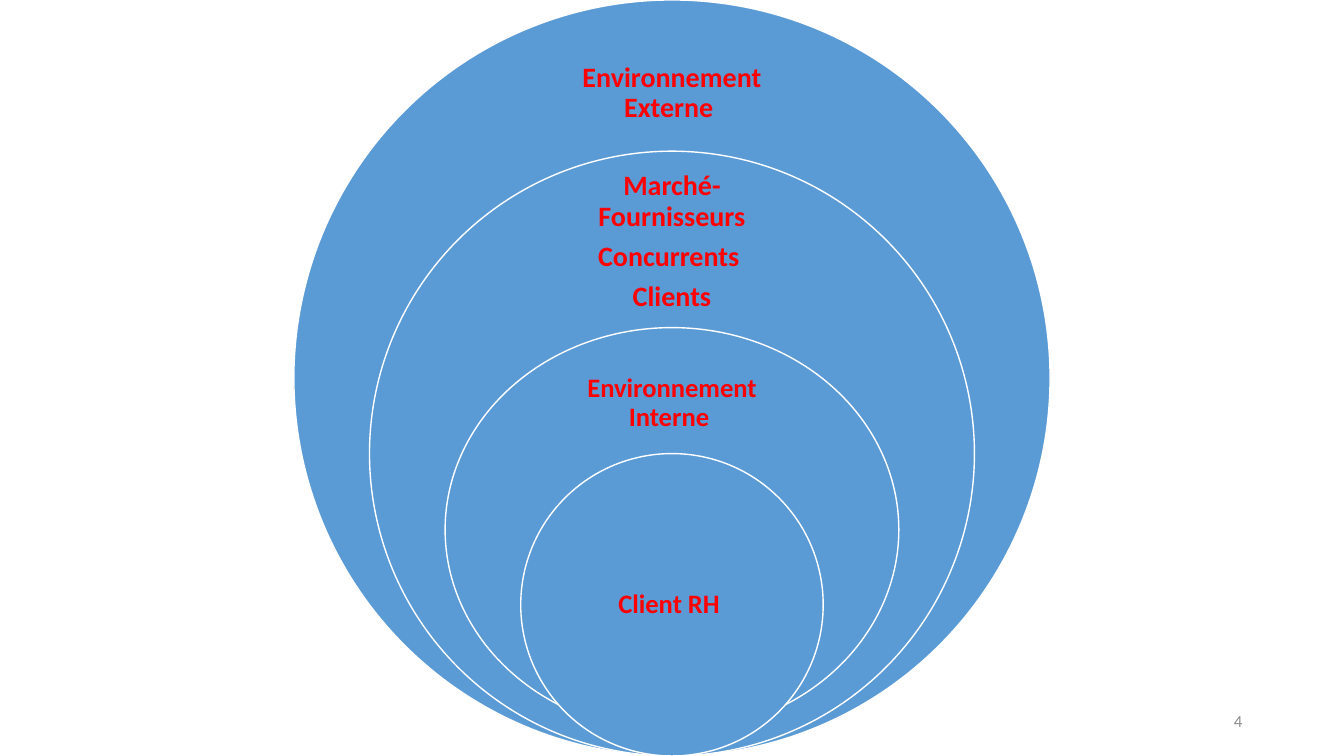
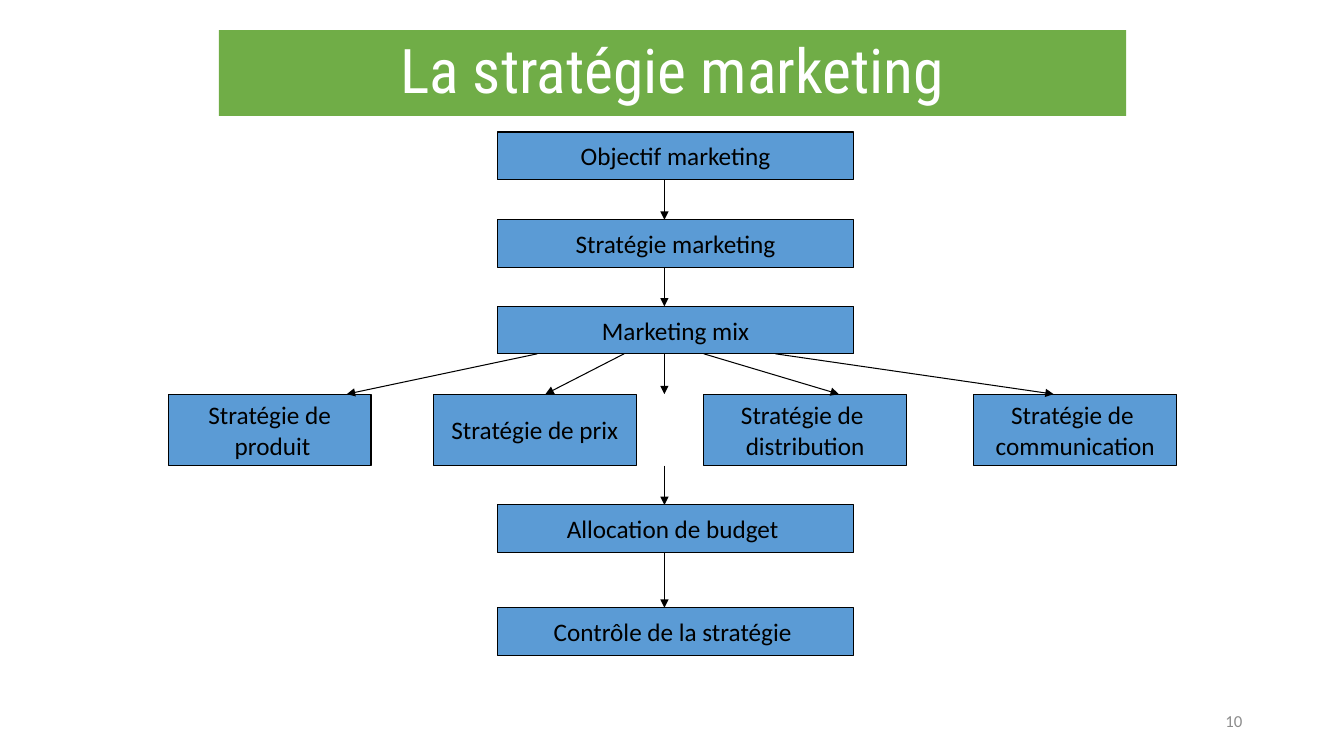
import pptx
import pptx.util
import pptx.dml.color
import pptx.enum.shapes
import pptx.enum.text
import pptx.oxml
import pptx.oxml.ns

Inches, Pt = pptx.util.Inches, pptx.util.Pt
RGB = pptx.dml.color.RGBColor.from_string
SHAPE = pptx.enum.shapes.MSO_SHAPE
ALIGN = pptx.enum.text.PP_ALIGN
MIDDLE = pptx.enum.text.MSO_ANCHOR.MIDDLE
STRAIGHT = pptx.enum.shapes.MSO_CONNECTOR.STRAIGHT

COLORS = {"blue": "5B9BD5", "green": "70AD47", "red": "FF0000",
          "black": "000000", "white": "FFFFFF", "gray": "8C8C8C"}
W = 13.33


def write(shape, lines, size, color, align=ALIGN.CENTER, font="Calibri",
          bold=False, wrap=True, spacing=None, after=0):
    """Fill a shape with one formatted paragraph per line."""
    tf = shape.text_frame
    tf.word_wrap = wrap
    tf.auto_size = pptx.enum.text.MSO_AUTO_SIZE.NONE
    tf.vertical_anchor = MIDDLE
    for i, line in enumerate(lines):
        p = tf.paragraphs[0] if i == 0 else tf.add_paragraph()
        p.alignment = align
        p.line_spacing = spacing
        p.space_after = Pt(after)
        r = p.add_run()
        r.text = line
        r.font.name, r.font.size, r.font.bold = font, Pt(size), bold
        r.font.color.rgb = RGB(COLORS[color])
    return tf


def add_block(s, kind, x, y, w, h, line, width):
    """Add a blue shape outlined in the given colour."""
    sp = s.shapes.add_shape(kind, Inches(x), Inches(y), Inches(w), Inches(h))
    sp.shadow.inherit = False
    sp.fill.solid()
    sp.fill.fore_color.rgb = RGB(COLORS["blue"])
    sp.line.color.rgb = RGB(COLORS[line])
    sp.line.width = Pt(width)
    return sp


prs = pptx.Presentation()
prs.slide_width, prs.slide_height = Inches(W), Inches(7.5)
nested = prs.slides.add_slide(prs.slide_layouts[6])
strategy = prs.slides.add_slide(prs.slide_layouts[5])

# Nested environments: circle top, width, height; label top, height; size, inset
circles = [
    (0, 7.5, 7.5, 0.37, 1.12, 20, 0.16, ["Environnement Externe "]),
    (1.5, 6, 6, 1.86, 1.08, 20, 0.16,
     ["Marché-Fournisseurs", "Concurrents ", "Clients"]),
    (3.25, 4.5, 4.01, 3.55, 0.9, 19, 0.15, ["Environnement Interne "]),
    (4.5, 3, 3, 5.25, 1.5, 19, 0.15, ["Client RH "]),
]
label_w = 2.1
for top, w, h, label_top, label_h, size, inset, lines in circles:
    add_block(nested, SHAPE.OVAL, (W - w) / 2, top, w, h, "white", 1)
    label = nested.shapes.add_textbox(Inches((W - label_w) / 2), Inches(label_top),
                                      Inches(label_w), Inches(label_h))
    tf = write(label, lines, size, "red", bold=True, spacing=0.9, after=0.35 * size)
    tf.margin_left = tf.margin_right = Inches(inset)
    tf.margin_top = tf.margin_bottom = Inches(inset)

# Marketing strategy: title band
title = strategy.shapes.title
title.left, title.top = Inches(2.17), Inches(0.3)
title.width, title.height = Inches(9), Inches(0.85)
title.fill.solid()
title.fill.fore_color.rgb = RGB(COLORS["green"])
write(title, ["La stratégie marketing"], 44, "white", font="Roboto Condensed",
      spacing=0.9)

# Main steps down the middle, then the four parts of the mix
step_h, mix_top, mix_h = 0.47, 3.91, 0.71
steps = [(1.31, "Objectif marketing"), (2.18, "Stratégie marketing"),
         (3.04, "Marketing mix"), (5.01, "Allocation de budget "),
         (6.03, "Contrôle de la stratégie ")]
mix = [(1.67, ["Stratégie de", " produit"]), (4.3, ["Stratégie de prix"]),
       (6.98, ["Stratégie de ", "distribution"]),
       (9.66, ["Stratégie de ", "communication"])]
boxes = [(4.93, y, 3.54, step_h, [text]) for y, text in steps]
boxes += [(x, mix_top, 2.01, mix_h, lines) for x, lines in mix]
for x, y, w, h, lines in boxes:
    box = add_block(strategy, SHAPE.RECTANGLE, x, y, w, h, "black", 0.75)
    write(box, lines, 18, "black", wrap=False)

# Arrows: the vertical axis, then the fan out of the marketing mix
axis = 6.59
tops = [y for y, text in steps]
mix_bottom = tops[2] + step_h
stops = [(tops[0] + step_h, tops[1]), (tops[1] + step_h, tops[2]),
         (mix_bottom, mix_top), (mix_top + mix_h, tops[3]),
         (tops[3] + step_h, tops[4])]
arrows = [(axis, y1, axis, y2) for y1, y2 in stops]
arrows += [(x1, mix_bottom, x2, mix_top) for x1, x2 in
           [(6.19, 5.41), (5.33, 3.44), (6.98, 8.32), (7.69, 10.45)]]
for ends in arrows:
    arrow = strategy.shapes.add_connector(STRAIGHT, *[Inches(v) for v in ends])
    arrow.line.color.rgb = RGB(COLORS["black"])
    arrow.line.width = Pt(0.75)
    ns = pptx.oxml.ns.nsdecls("a")
    arrow.line._get_or_add_ln().append(
        pptx.oxml.parse_xml(f'<a:tailEnd {ns} type="triangle"/>'))
    arrow._element.spPr.append(pptx.oxml.parse_xml(f"<a:effectLst {ns}/>"))

# Page numbers
for s, number in [(nested, "4"), (strategy, "10")]:
    page = s.shapes.add_textbox(Inches(9.42), Inches(6.95), Inches(3), Inches(0.4))
    write(page, [number], 12, "gray", align=ALIGN.RIGHT)

prs.save("out.pptx")
